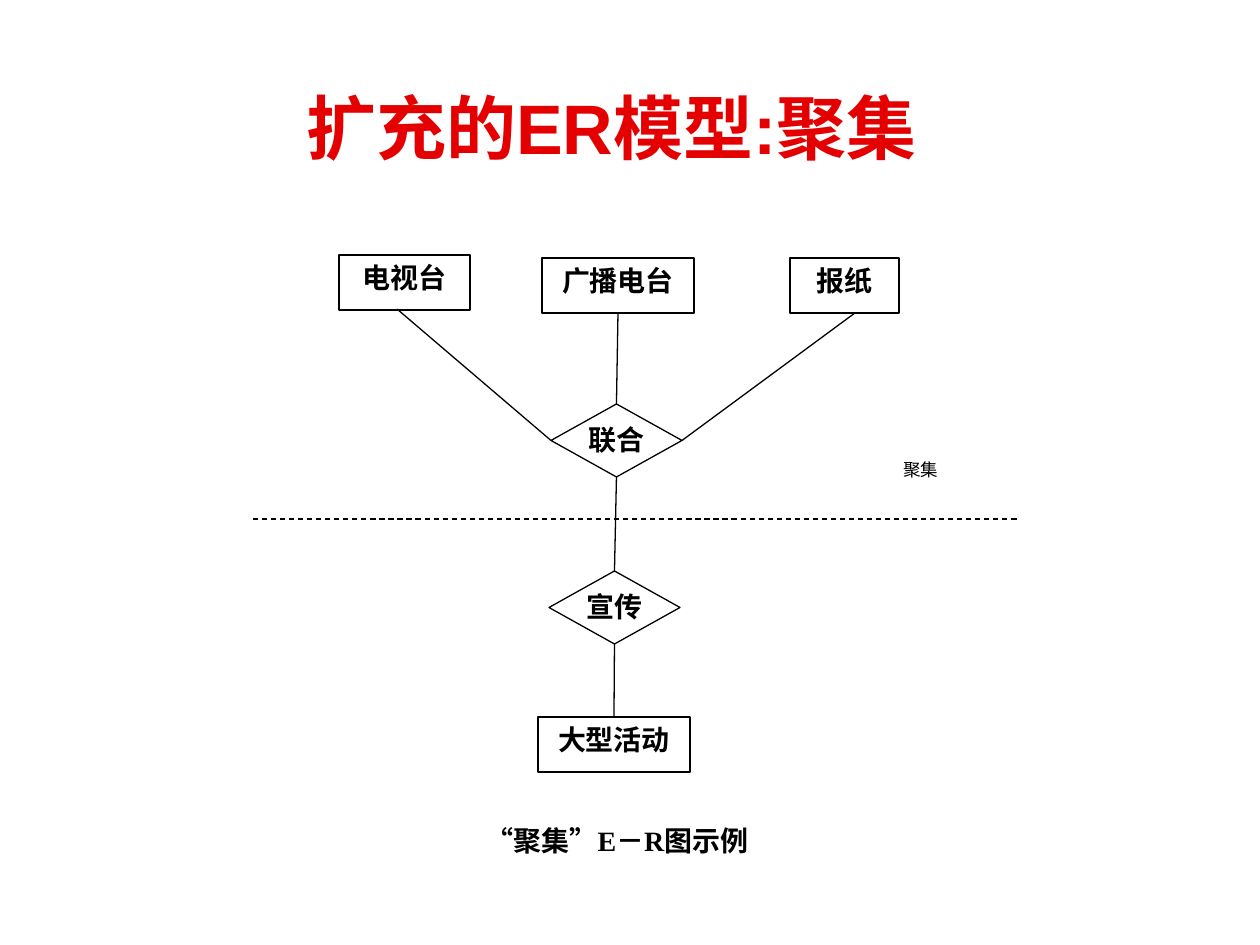
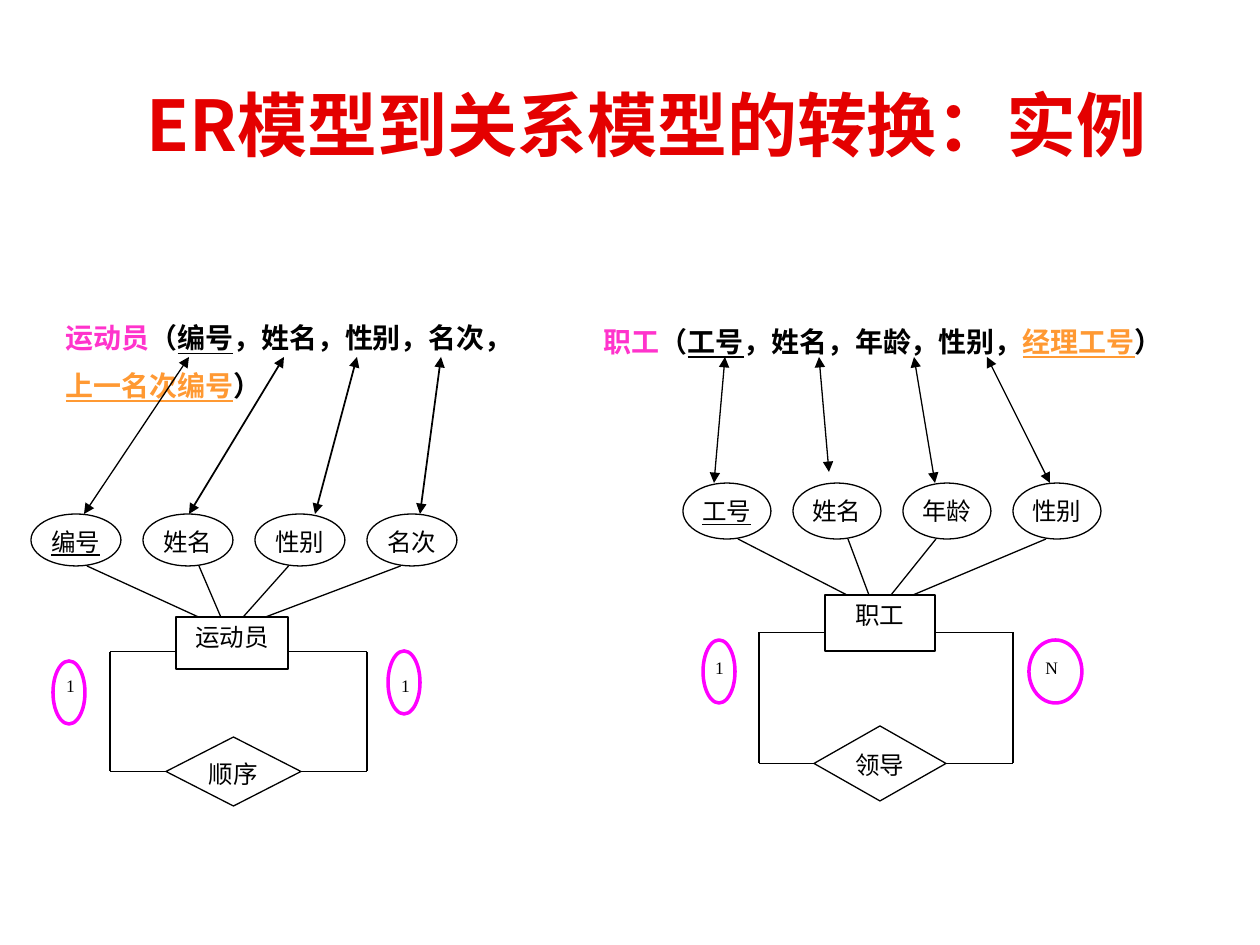
from lxml import etree
from pptx import Presentation
from pptx.dml.color import RGBColor
from pptx.enum.dml import MSO_LINE
from pptx.enum.shapes import MSO_CONNECTOR, MSO_SHAPE
from pptx.enum.text import MSO_ANCHOR, MSO_AUTO_SIZE, PP_ALIGN
from pptx.oxml.ns import qn
from pptx.util import Emu, Pt

RECT, OVAL, DIAMOND = MSO_SHAPE.RECTANGLE, MSO_SHAPE.OVAL, MSO_SHAPE.DIAMOND
STRAIGHT = MSO_CONNECTOR.STRAIGHT
DASH = MSO_LINE.DASH
LEFT, CENTER = PP_ALIGN.LEFT, PP_ALIGN.CENTER
TOP_SITE, LEFT_SITE, BOTTOM_SITE, RIGHT_SITE = range(4)

EMU_PER_PX = 914400 / 126
TITLE_ONLY = 5
BLACK, WHITE, RED = "000000", "FFFFFF", "E40000"
PINK, ORANGE, MAGENTA = "FF33CC", "FF9933", "FF00FF"
LATIN, CJK = "Times New Roman", "Noto Sans CJK SC"

PLAIN_INSETS = (0, 0, 0, 0)
BOX_INSETS = (13, 6, 13, 6)
ER_INSETS = (0, 5, 0, 0)


def px(length):
    return Emu(round(length * EMU_PER_PX))


def color(hex_code):
    return RGBColor.from_string(hex_code)


def style_font(font, size, name=LATIN, hex_code=BLACK, bold=False, underline=False):
    font.size, font.name = Pt(size), name
    font.bold, font.underline = bold, underline
    font.color.rgb = color(hex_code)


def set_east_asian_font(paragraph):
    for tag in ("a:defRPr", "a:rPr"):
        for properties in paragraph._p.iter(qn(tag)):
            etree.SubElement(properties, qn("a:ea")).set("typeface", CJK)


def set_frame(frame, insets, anchor=MSO_ANCHOR.TOP):
    frame.word_wrap = True
    frame.auto_size = MSO_AUTO_SIZE.NONE
    frame.vertical_anchor = anchor
    (frame.margin_left, frame.margin_top,
     frame.margin_right, frame.margin_bottom) = map(px, insets)


def add_titled_slide(prs, text, box, font_name, align):
    slide = prs.slides.add_slide(prs.slide_layouts[TITLE_ONLY])
    title = slide.shapes.title
    title.left, title.top, title.width, title.height = map(px, box)
    set_frame(title.text_frame, BOX_INSETS, MSO_ANCHOR.MIDDLE)
    title.text_frame.text = text
    paragraph = title.text_frame.paragraphs[0]
    paragraph.alignment = align
    style_font(paragraph.font, 40, font_name, RED, bold=True)
    set_east_asian_font(paragraph)
    return slide


def add_outline(slide, kind, box, fill=WHITE, line=BLACK, width=0.75):
    shape = slide.shapes.add_shape(kind, *map(px, box))
    shape.shadow.inherit = False
    if fill:
        shape.fill.solid()
        shape.fill.fore_color.rgb = color(fill)
    else:
        shape.fill.background()
    if line:
        shape.line.color.rgb = color(line)
        shape.line.width = Pt(width)
    else:
        shape.line.fill.background()
    return shape


def add_node(slide, kind, box, text, size, insets, line=BLACK, **font_style):
    node = add_outline(slide, kind, box, line=line)
    set_frame(node.text_frame, insets)
    node.text_frame.text = text
    paragraph = node.text_frame.paragraphs[0]
    paragraph.alignment = CENTER
    style_font(paragraph.font, size, **font_style)
    set_east_asian_font(paragraph)
    return node


def add_link(slide, start, end, width=0.75, dash=None, arrows=False):
    """Draw a line; each end is an (x, y) point or a (shape, site) pair."""
    points = [(0, 0) if hasattr(a, "shape_type") else (a, b) for a, b in (start, end)]
    link = slide.shapes.add_connector(STRAIGHT, *(px(v) for point in points for v in point))
    for (target, site), join in ((start, link.begin_connect), (end, link.end_connect)):
        if hasattr(target, "shape_type"):
            join(target, site)
    link.line.color.rgb = color(BLACK)
    link.line.width = Pt(width)
    if dash:
        link.line.dash_style = dash
    if arrows:
        for tag in ("a:headEnd", "a:tailEnd"):
            etree.SubElement(link.line._get_or_add_ln(), qn(tag)).set("type", "triangle")
    etree.SubElement(link._element.spPr, qn("a:effectLst"))


def add_schema(slide, box, relation, key, attributes, foreign_key):
    """Write a relation schema with its key and foreign key underlined."""
    frame = slide.shapes.add_textbox(*map(px, box)).text_frame
    set_frame(frame, BOX_INSETS)
    paragraph = frame.paragraphs[0]
    paragraph.space_before = Pt(15)
    parts = [(relation, PINK, False), ("（", BLACK, False), (key, BLACK, True),
             (attributes, BLACK, False), (foreign_key, ORANGE, True), ("）", BLACK, False)]
    for text, hex_code, underline in parts:
        run = paragraph.add_run()
        run.text = text
        style_font(run.font, 16, CJK, hex_code, True, underline)
    tail = paragraph.add_run()
    tail.text = " "
    style_font(tail.font, 24, "Roboto")
    set_east_asian_font(paragraph)


def add_self_relation(slide, attributes, entity, relation, roles,
                      first_oval, pitch, entity_box, relation_box):
    """Draw an entity, its attributes and a relationship looping back to it."""
    def er_node(kind, box, text, **font_style):
        return add_node(slide, kind, box, text, 14, ER_INSETS, **font_style)

    oval_left, oval_top, oval_width, oval_height = first_oval
    left, top, width, height = entity_box
    er_node(RECT, entity_box, entity)
    for i, attribute in enumerate(attributes):
        x = oval_left + i * pitch
        er_node(OVAL, (x, oval_top, oval_width, oval_height), attribute, underline=i == 0)
        spoke_x = x + pitch * (0.5 if i < 2 else 0.3)
        add_link(slide, (spoke_x, oval_top + oval_height),
                 (left + width * (i + 1) / 5, top))

    diamond = er_node(DIAMOND, relation_box, relation)
    loop_top = top + height * 2 / 3
    loop_bottom = relation_box[1] + relation_box[3] / 2
    loop_left = relation_box[0] - pitch / 2
    loop_right = oval_left + 3 * pitch
    for x, entity_side, site in ((loop_left, left, LEFT_SITE),
                                 (loop_right, left + width, RIGHT_SITE)):
        add_link(slide, (x, loop_top), (entity_side, loop_top))
        add_link(slide, (x, loop_top), (x, loop_bottom))
        add_link(slide, (x, loop_bottom), (diamond, site))
    for role, x in zip(roles, (loop_left - 67, loop_right + 11)):
        add_node(slide, RECT, (x, top + height, 55, height), role, 10, BOX_INSETS, line=None)


def build_aggregation(prs):
    slide = add_titled_slide(prs, "扩充的ER模型:聚集", (123, 76, 977, 101), "Arial", CENTER)

    def entity(box, text):
        return add_node(slide, RECT, box, text, 16, BOX_INSETS, bold=True)

    def relationship(left, top, text):
        return add_node(slide, DIAMOND, (left, top, 131, 73), text, 16, PLAIN_INSETS, bold=True)

    radio = entity((542, 258, 152, 55), "广播电台")
    entity((339, 255, 131, 55), "电视台")
    entity((790, 258, 109, 55), "报纸")
    event = entity((538, 717, 152, 55), "大型活动")
    union = relationship(551, 404, "联合")
    publicity = relationship(549, 571, "宣传")

    add_link(slide, (radio, BOTTOM_SITE), (union, TOP_SITE))
    add_link(slide, (397, 309), (union, LEFT_SITE))
    add_link(slide, (855, 313), (union, RIGHT_SITE))
    add_link(slide, (union, BOTTOM_SITE), (publicity, TOP_SITE))
    add_link(slide, (publicity, BOTTOM_SITE), (event, TOP_SITE))
    add_link(slide, (253, 519), (1017, 519), dash=DASH)

    add_node(slide, RECT, (877, 459, 87, 36), "聚集", 10, PLAIN_INSETS, line=None)
    add_node(slide, RECT, (360, 824, 514, 45), "“聚集”E－R图示例", 16, PLAIN_INSETS,
             line=None, bold=True)


def build_conversion(prs):
    slide = add_titled_slide(prs, "ER模型到关系模型的转换：实例", (134, 45, 1074, 158), CJK, LEFT)
    add_self_relation(slide, ("编号", "姓名", "性别", "名次"), "运动员", "顺序", ("1", "1"),
                      first_oval=(31, 514, 90, 52), pitch=112,
                      entity_box=(176, 617, 112, 52), relation_box=(166, 737, 135, 69))
    add_self_relation(slide, ("工号", "姓名", "年龄", "性别"), "职工", "领导", ("1", "N"),
                      first_oval=(683, 483, 88, 56), pitch=110,
                      entity_box=(825, 595, 110, 56), relation_box=(814, 726, 132, 75))

    add_schema(slide, (53, 315, 469, 97), "运动员", "编号", "，姓名，性别，名次，", "上一名次编号")
    add_schema(slide, (591, 305, 606, 63), "职工", "工号", "，姓名，年龄，性别，", "经理工号")

    column_to_attribute = [
        (189, 84, 514, 0.75), (284, 189, 514, 1), (357, 315, 514, 1), (441, 420, 514, 1),
        (725, 714, 483, 0.75), (819, 829, 472, 0.75),
        (914, 935, 483, 0.75), (987, 1050, 483, 0.75),
    ]
    for column_x, attribute_x, attribute_y, width in column_to_attribute:
        add_link(slide, (column_x, 357), (attribute_x, attribute_y), width, arrows=True)

    for left, top, width in ((388, 651, 32), (1029, 640, 53), (703, 640, 32), (53, 661, 32)):
        add_outline(slide, OVAL, (left, top, width, 63), fill=None, line=MAGENTA, width=2)


def main():
    prs = Presentation()
    prs.slide_width, prs.slide_height = px(1260), px(945)
    build_aggregation(prs)
    build_conversion(prs)
    prs.save("out.pptx")


if __name__ == "__main__":
    main()
